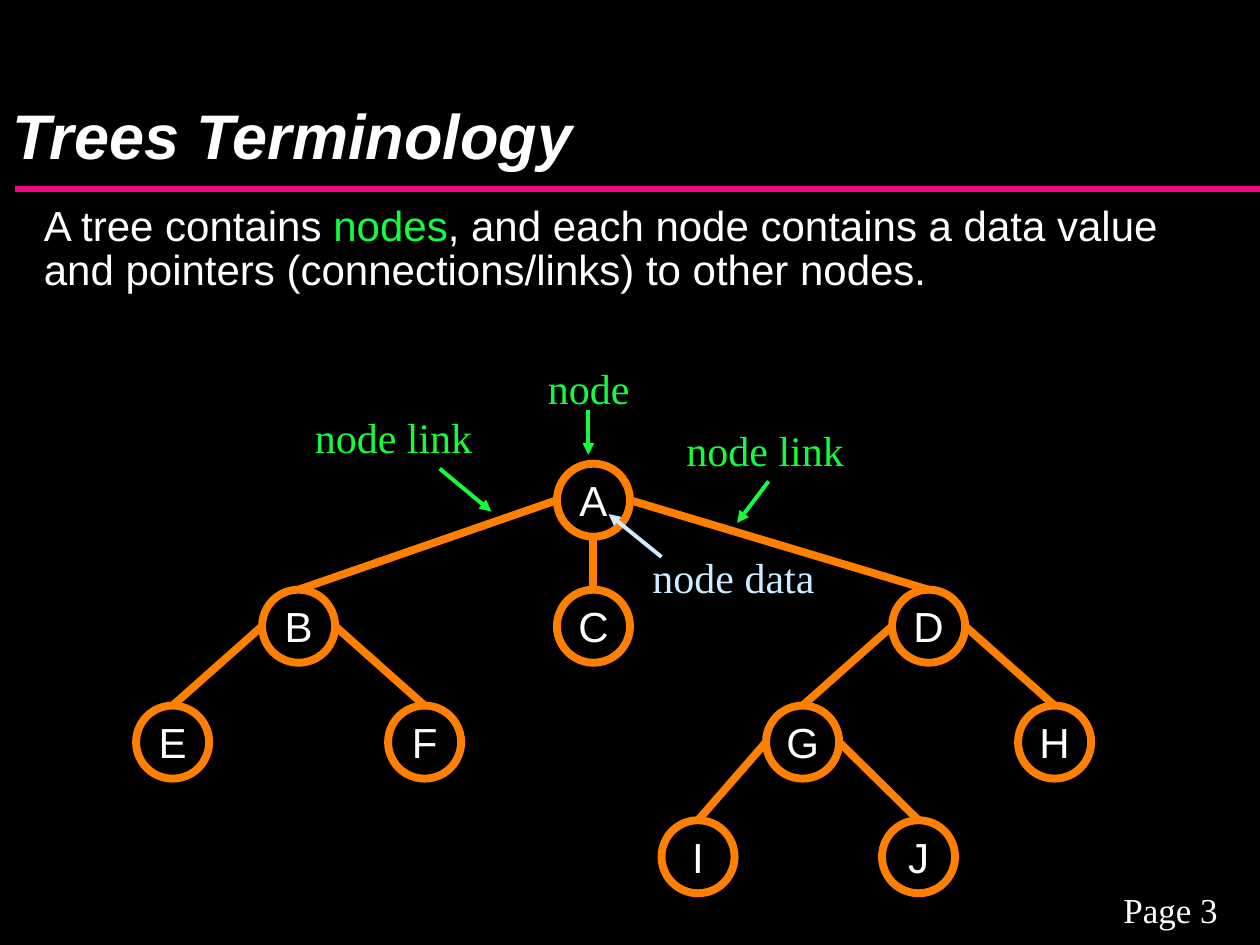
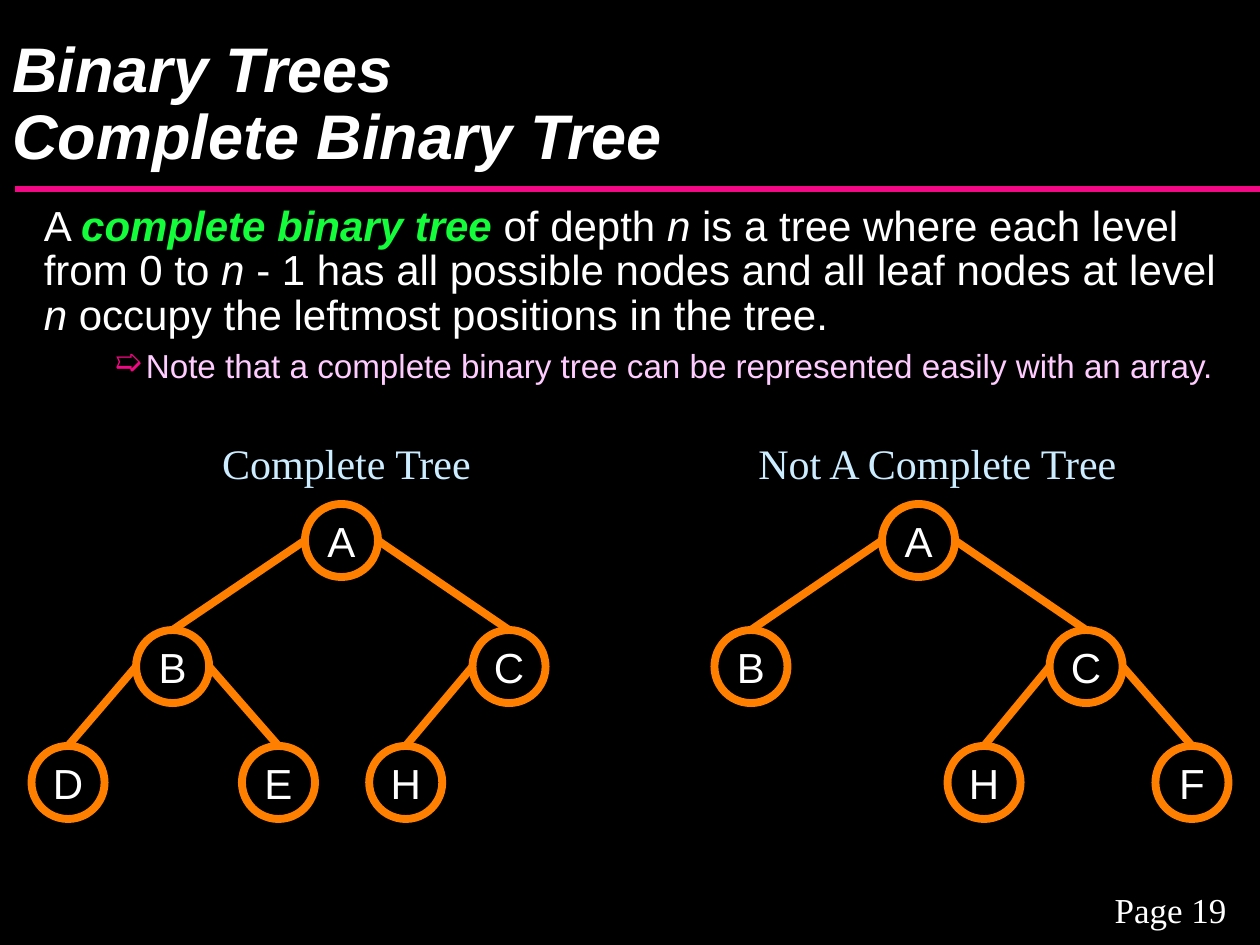
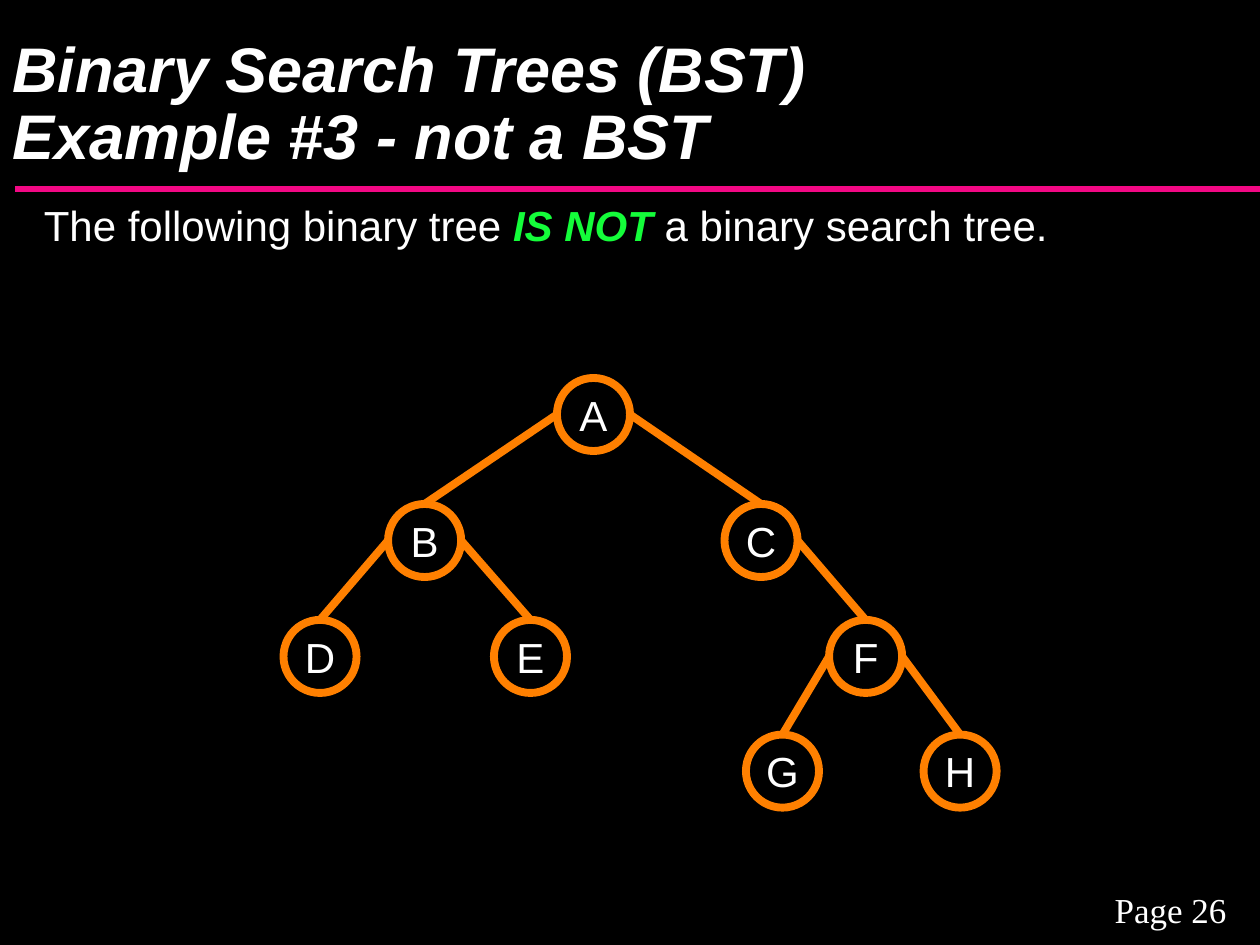
import pptx
import pptx.util
import pptx.dml.color
import pptx.enum.shapes
import pptx.enum.text
import lxml.etree
from pptx.util import Inches

HUES = {"back": "000000", "text": "FFFFFF", "rule": "F20884", "ring": "FF8000",
        "green": "14FD3A", "pale": "CCECFF", "note": "FFCCFF"}
SANS, SERIF = "Arial", "Times New Roman"
LEFT = pptx.enum.text.PP_ALIGN.LEFT
MID = pptx.enum.text.PP_ALIGN.CENTER
SIZE = 0.58
STEPS = [0, 1, 1.92, 2.83]
A = "http://schemas.openxmlformats.org/drawingml/2006/main"

pages = [
    {
        "title": "Trees Terminology", "page": "Page 3",
        "body": [("A tree contains ", ""), ("nodes", "g"),
                 (", and each node contains a data value and pointers "
                  "(connections/links) to other nodes.", "")],
        "trees": [(3.68, [("A", 4.42, ""), ("B", 2.08, "A"), ("C", 4.42, "A"),
                          ("D", 7.08, "A"), ("E", 1.08, "B"), ("F", 3.08, "B"),
                          ("G", 6.08, "D"), ("H", 8.08, "D"), ("I", 5.25, "G"),
                          ("J", 7, "G")])],
        "labels": [("node", 4.25, 2.83, 1.17, "green", LEFT),
                   ("node link", 2.4, 3.22, 2.17, "green", LEFT),
                   ("node link", 5.35, 3.32, 2.17, "green", LEFT),
                   ("node data", 5.08, 4.33, 2.17, "pale", LEFT)],
        "arrows": [(4.67, 3.25, 4.67, 3.61, "green"), (3.49, 3.72, 3.9, 4.06, "green"),
                   (6.1, 3.82, 5.85, 4.15, "green"), (5.25, 4.42, 4.83, 4.08, "pale")],
    },
    {
        "title": "Binary Trees\vComplete Binary Tree", "page": "Page 19",
        "body": [("A ", ""), ("complete binary tree", "gbi"), (" of depth ", ""),
                 ("n", "i"), (" is a tree where each level from 0 to ", ""),
                 ("n ", "i"),
                 ("- 1 has all possible nodes and all leaf nodes at level ", ""),
                 ("n", "i"), (" occupy the leftmost positions in the tree.", "")],
        "note": "Note that a complete binary tree can be represented easily with an array.",
        "trees": [(4, [("A", 2.42, ""), ("B", 1.08, "A"), ("C", 3.75, "A"),
                       ("D", 0.25, "B"), ("E", 1.92, "B"), ("H", 2.93, "C")]),
                  (4, [("A", 7, ""), ("B", 5.67, "A"), ("C", 8.33, "A"),
                       ("H", 7.52, "C"), ("F", 9.17, "C")])],
        "labels": [("Complete Tree", 1, 3.42, 3.5, "pale", MID),
                   ("Not A Complete Tree", 5.92, 3.42, 3.5, "pale", LEFT)],
    },
    {
        "title": "Binary Search Trees (BST)\vExample #3 - not a BST", "page": "Page 26",
        "body": [("The following binary tree ", ""), ("IS NOT", "gbi"),
                 (" a binary search tree.", "")],
        "trees": [(3, [("A", 4.42, ""), ("B", 3.08, "A"), ("C", 5.75, "A"),
                       ("D", 2.25, "B"), ("E", 3.92, "B"), ("F", 6.58, "C"),
                       ("G", 5.92, "F"), ("H", 7.33, "F")])],
    },
]


def write(shape, text, size, face, hue, align=LEFT, anchor="MIDDLE"):
    frame = shape.text_frame
    frame.word_wrap = True
    frame.vertical_anchor = pptx.enum.text.MSO_ANCHOR[anchor]
    para = frame.paragraphs[0]
    para.text = text
    para.alignment = align
    para.font.size = pptx.util.Pt(size)
    para.font.name = face
    para.font.color.rgb = pptx.dml.color.RGBColor.from_string(HUES[hue])
    return para


def draw(slide, ends, hue, width, arrow=False):
    line = slide.shapes.add_connector(
        pptx.enum.shapes.MSO_CONNECTOR.STRAIGHT, *[Inches(end) for end in ends])
    line.line.color.rgb = pptx.dml.color.RGBColor.from_string(HUES[hue])
    line.line.width = pptx.util.Pt(width)
    props = line._element.spPr
    lxml.etree.SubElement(props, f"{{{A}}}effectLst")
    if arrow:
        lxml.etree.SubElement(props.find(f"{{{A}}}ln"), f"{{{A}}}tailEnd", type="triangle")


deck = pptx.Presentation()
deck.slide_width, deck.slide_height = Inches(10), Inches(7.5)

for page in pages:
    slide = deck.slides.add_slide(deck.slide_layouts[6])
    slide.background.fill.solid()
    slide.background.fill.fore_color.rgb = pptx.dml.color.RGBColor.from_string(HUES["back"])
    draw(slide, (0.12, 1.5, 10, 1.5), "rule", 3.75)

    box = slide.shapes.add_textbox(Inches(8.58), Inches(7), Inches(1.42), Inches(0.43))
    write(box, page["page"], 20, SERIF, "text", MID, "TOP")

    box = slide.shapes.add_textbox(0, 0, Inches(10), Inches(1.42))
    para = write(box, page["title"], 36, SANS, "text", anchor="BOTTOM")
    para.line_spacing = 0.89
    para.font.bold = para.font.italic = True

    box = slide.shapes.add_textbox(0, Inches(1.58), Inches(9.83), Inches(5.42))
    para = write(box, "", 24, SANS, "text", anchor="TOP")
    para.line_spacing = 0.89
    para._p.get_or_add_pPr().set("marL", str(Inches(0.25)))
    for text, style in page["body"]:
        run = para.add_run()
        run.text = text
        if "g" in style:
            run.font.color.rgb = pptx.dml.color.RGBColor.from_string(HUES["green"])
        if "b" in style:
            run.font.bold = True
        if "i" in style:
            run.font.italic = True

    if "note" in page:
        para = box.text_frame.add_paragraph()
        para.text = page["note"]
        para.level = 1
        para.line_spacing = 0.89
        para.space_before = pptx.util.Pt(6)
        props = para._p.get_or_add_pPr()
        props.set("marL", str(Inches(1.06)))
        props.set("indent", str(Inches(-0.25)))
        tint = lxml.etree.SubElement(props, f"{{{A}}}buClr")
        lxml.etree.SubElement(tint, f"{{{A}}}srgbClr", val=HUES["rule"])
        lxml.etree.SubElement(props, f"{{{A}}}buChar", char="➯")
        para.font.size = pptx.util.Pt(19)
        para.font.name = SANS
        para.font.color.rgb = pptx.dml.color.RGBColor.from_string(HUES["note"])

    for top, nodes in page["trees"]:
        spots = {}
        for name, left, root in nodes:
            depth = spots[root][1] + 1 if root else 0
            spots[name] = left, depth
            y = top + STEPS[depth]
            node = slide.shapes.add_shape(
                pptx.enum.shapes.MSO_SHAPE.OVAL,
                Inches(left), Inches(y), Inches(SIZE), Inches(SIZE))
            node.shadow.inherit = False
            node.fill.background()
            node.line.color.rgb = pptx.dml.color.RGBColor.from_string(HUES["ring"])
            node.line.width = pptx.util.Pt(4.5)
            frame = node.text_frame
            frame.margin_left = frame.margin_right = 0
            frame.margin_top = frame.margin_bottom = 0
            write(node, name, 24, SANS, "text", MID)
            if root:
                start = spots[root][0]
                side = (left > start) - (left < start)
                x = start + SIZE / 2 * (1 + side)
                drop = SIZE / 2 if side else SIZE
                ends = (x, top + STEPS[depth - 1] + drop, left + SIZE / 2, y)
                draw(slide, ends, "ring", 4.5)

    for text, left, top, width, hue, align in page.get("labels", []):
        box = slide.shapes.add_textbox(Inches(left), Inches(top), Inches(width), Inches(0.5))
        write(box, text, 24, SERIF, hue, align)
    for *ends, hue in page.get("arrows", []):
        draw(slide, ends, hue, 2.25, True)

deck.save("out.pptx")
